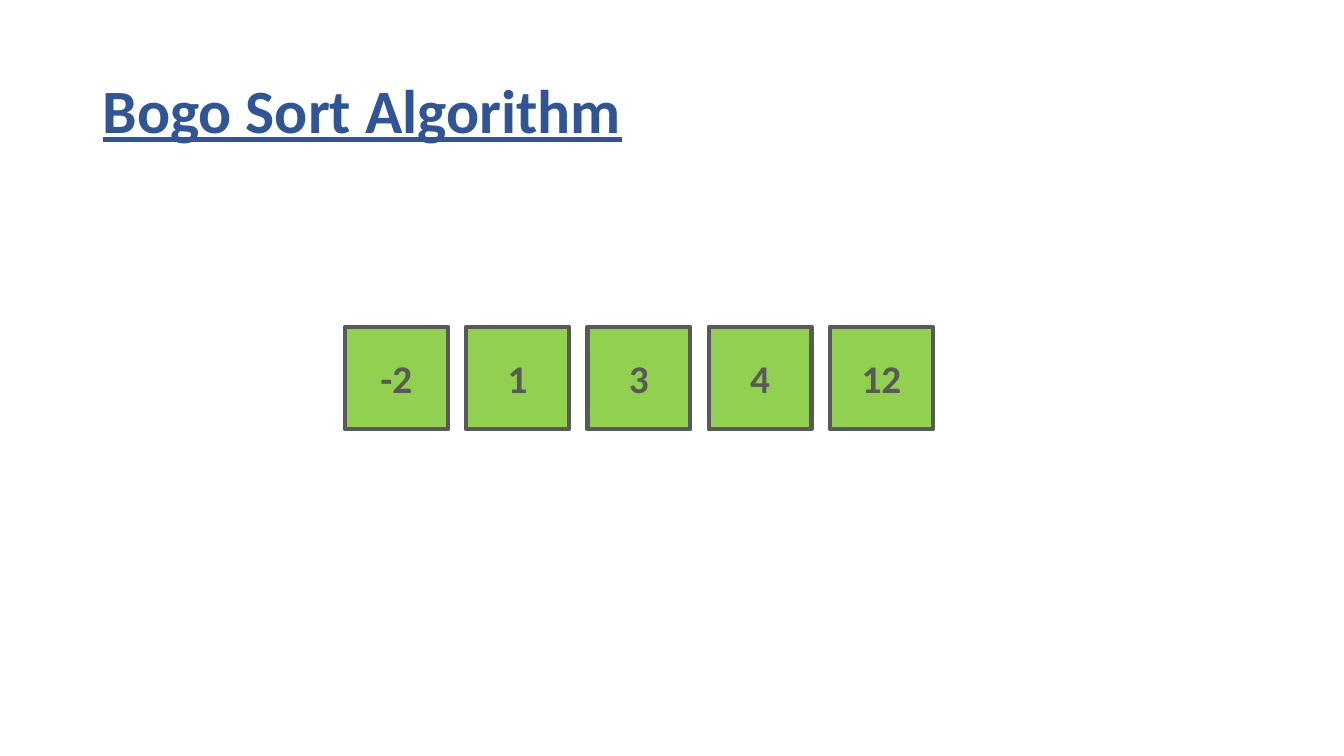
from pptx import Presentation
from pptx.dml.color import RGBColor
from pptx.enum.shapes import MSO_SHAPE
from pptx.enum.text import MSO_ANCHOR, PP_ALIGN
from pptx.util import Inches, Pt


def color(hex_code):
    return RGBColor.from_string(hex_code)


def write(shape, text, size, hex_code):
    """Put one bold, vertically centred line into a shape."""
    frame = shape.text_frame
    frame.text = text
    frame.word_wrap = True
    frame.vertical_anchor = MSO_ANCHOR.MIDDLE
    paragraph = frame.paragraphs[0]
    font = paragraph.runs[0].font
    font.name = "Calibri"
    font.size = Pt(size)
    font.bold = True
    font.color.rgb = color(hex_code)
    return paragraph


deck = Presentation()
deck.slide_width = Inches(13.33)
deck.slide_height = Inches(7.5)
slide = deck.slides.add_slide(deck.slide_layouts[6])

# Title
title = slide.shapes.add_textbox(Inches(0.92), Inches(0.4), Inches(11.5), Inches(1.45))
heading = write(title, "Bogo Sort Algorithm", 44, "2F5597")
heading.line_spacing = 0.9
heading.runs[0].font.underline = True

# Sorted array, one square per value
values = [-2, 1, 3, 4, 12]
array_left, array_top = 3.42, 3.24
cell_size, cell_step = 1.02, 1.203

for index, value in enumerate(values):
    cell = slide.shapes.add_shape(
        MSO_SHAPE.RECTANGLE,
        Inches(array_left + index * cell_step), Inches(array_top),
        Inches(cell_size), Inches(cell_size),
    )
    cell.shadow.inherit = False
    cell.fill.solid()
    cell.fill.fore_color.rgb = color("92D050")
    cell.line.color.rgb = color("595959")
    cell.line.width = Pt(3)
    write(cell, str(value), 28, "595959").alignment = PP_ALIGN.CENTER

deck.save("out.pptx")
